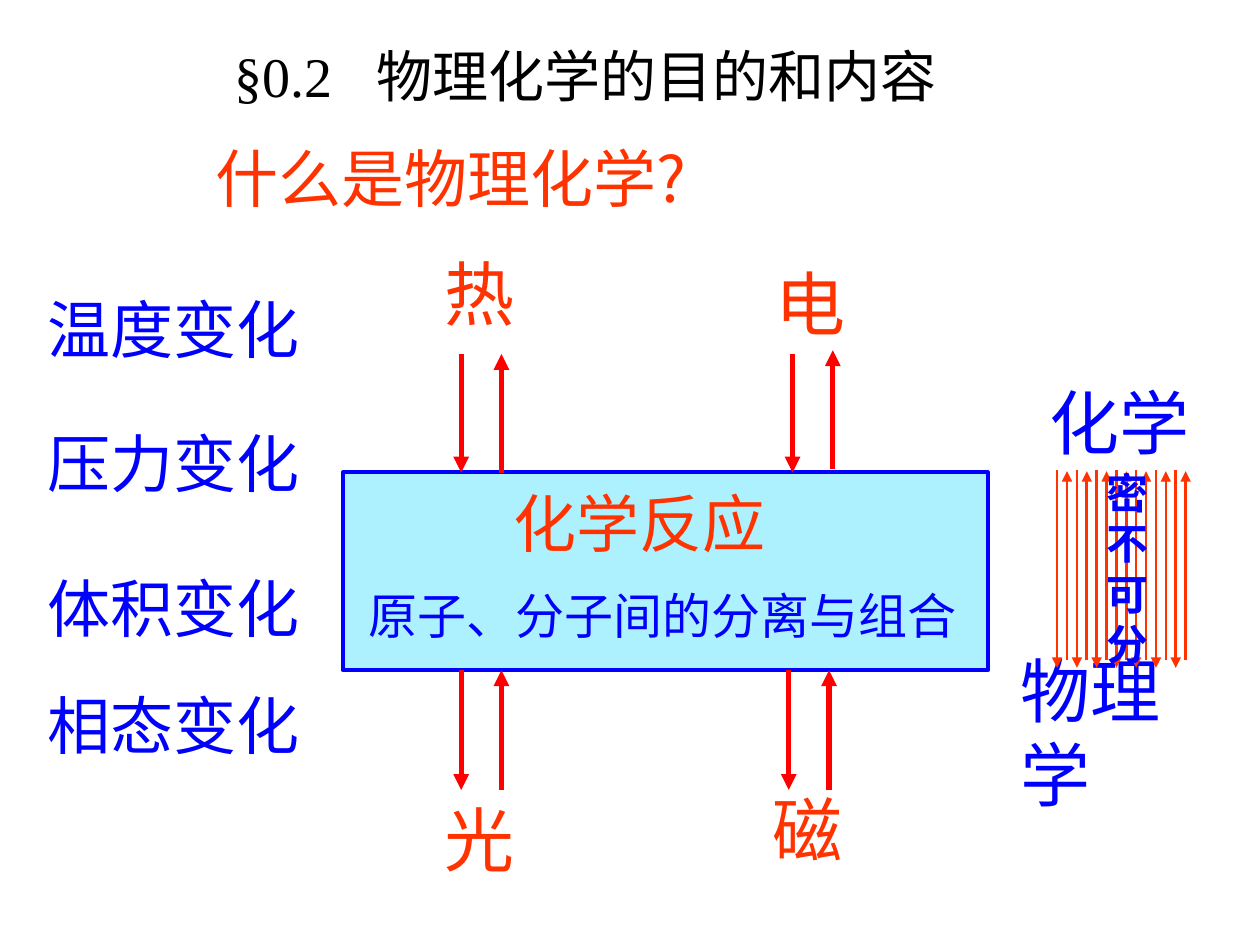
from lxml.etree import SubElement
from pptx import Presentation
from pptx.dml.color import RGBColor
from pptx.enum.shapes import MSO_CONNECTOR, MSO_SHAPE
from pptx.enum.text import MSO_ANCHOR, MSO_AUTO_SIZE
from pptx.oxml.ns import qn
from pptx.util import Inches, Pt

BLACK = RGBColor(0x00, 0x00, 0x00)
BLUE = RGBColor(0x00, 0x00, 0xFF)
ORANGE = RGBColor(0xFF, 0x33, 0x00)
RED = RGBColor(0xFF, 0x00, 0x00)
PALE_CYAN = RGBColor(0xAE, 0xF1, 0xFE)
CHINESE = "Noto Sans CJK SC"
LATIN = "Times New Roman"


def add_label(slide, box, runs, size, color, wrap=False, spacing=None,
              bold=False, tab=None):
    label = slide.shapes.add_textbox(*map(Inches, box))
    frame = label.text_frame
    frame.word_wrap = wrap
    frame.auto_size = MSO_AUTO_SIZE.SHAPE_TO_FIT_TEXT
    paragraph = frame.paragraphs[0]
    if spacing:
        paragraph.line_spacing = spacing
    if tab:
        stops = SubElement(paragraph._p.get_or_add_pPr(), qn("a:tabLst"))
        SubElement(stops, qn("a:tab"), pos=str(Inches(tab)), algn="l")
    for text, typeface in runs:
        run = paragraph.add_run()
        run.text = text
        run.font.size = Pt(size)
        run.font.bold = bold
        run.font.color.rgb = color
        run.font.name = typeface
        SubElement(run._r.get_or_add_rPr(), qn("a:ea"), typeface=typeface)
    return label


def add_arrow(slide, x, start, end, color, width):
    arrow = slide.shapes.add_connector(
        MSO_CONNECTOR.STRAIGHT, Inches(x), Inches(start), Inches(x), Inches(end))
    arrow.line.color.rgb = color
    arrow.line.width = Pt(width)
    SubElement(arrow.line._get_or_add_ln(), qn("a:tailEnd"), type="triangle")
    SubElement(arrow._element.spPr, qn("a:effectLst"))


def add_headings(slide, left, top):
    add_label(slide, (left + 0.15, top, 6.2, 0.64),
              [("§0.2\t", LATIN), ("物理化学的目的和内容", CHINESE)],
              32, BLACK, wrap=True, tab=1.13)
    question = add_label(slide, (left, top + 0.79, 5.59, 0.67),
                         [("什么是物理化学?", CHINESE)], 36, ORANGE, wrap=True)
    question.text_frame.auto_size = MSO_AUTO_SIZE.NONE
    question.text_frame.vertical_anchor = MSO_ANCHOR.MIDDLE


def add_reaction(slide, left, top, width, height):
    panel = slide.shapes.add_shape(
        MSO_SHAPE.RECTANGLE, *map(Inches, (left, top, width, height)))
    panel.shadow.inherit = False
    panel.fill.solid()
    panel.fill.fore_color.rgb = PALE_CYAN
    panel.line.color.rgb = BLUE
    panel.line.width = Pt(2.25)
    add_label(slide, (left + 1.26, top + 0.16, 2.2, 0.58),
              [("化学反应", CHINESE)], 36, ORANGE, spacing=0.8)
    add_label(slide, (left + 0.11, top + 0.94, 4.86, 0.48),
              [("原子、分子间的分离与组合", CHINESE)], 28, BLUE, spacing=0.8)

    bottom = top + height
    energies = [
        ("热", 0.94, top - 1.81, top - 0.94, top),
        ("电", 3.57, top - 1.73, top - 0.94, top),
        ("光", 0.94, bottom + 0.95, bottom, bottom + 0.95),
        ("磁", 3.54, bottom + 0.87, bottom, bottom + 0.95),
    ]
    for energy, offset, label_top, upper, lower in energies:
        x = left + offset
        lift = 0.03 if energy == "电" else 0
        add_arrow(slide, x, upper, lower, RED, 3)
        add_arrow(slide, x + 0.32, lower - lift, upper - lift, RED, 3)
        add_label(slide, (x - 0.23, label_top, 0.75, 0.77),
                  [(energy, CHINESE)], 40, ORANGE)


def add_changes(slide, left, top):
    changes = [("温度变化", 0), ("压力变化", 1.06),
               ("体积变化", 2.21), ("相态变化", 3.14)]
    for change, offset in changes:
        add_label(slide, (left, top + offset, 2.2, 0.7),
                  [(change, CHINESE)], 36, BLUE)


def add_sciences(slide, left, top):
    add_label(slide, (left + 0.23, top, 1.31, 0.77),
              [("化学", CHINESE)], 40, BLUE)
    add_label(slide, (left, top + 2.13, 1.86, 0.77),
              [("物理学", CHINESE)], 40, BLUE)
    arrow_count = 14
    pitch = 1.02 / (arrow_count - 1)
    for index in range(arrow_count):
        x = left + 0.39 + index * pitch
        ends = (0.77, 2.34) if index % 2 == 0 else (2.28, 0.78)
        add_arrow(slide, x, top + ends[0], top + ends[1], ORANGE, 1.5)
    add_label(slide, (left + 0.68, top + 0.7, 0.42, 1.7),
              [("密不可分", CHINESE)], 24, BLUE, wrap=True, bold=True)


def main():
    presentation = Presentation()
    presentation.slide_width = Inches(10)
    presentation.slide_height = Inches(7.5)
    slide = presentation.slides.add_slide(presentation.slide_layouts[6])
    add_headings(slide, 1.61, 0.28)
    add_reaction(slide, 2.72, 3.75, 5.12, 1.57)
    add_changes(slide, 0.28, 2.26)
    add_sciences(slide, 8, 2.96)
    presentation.save("out.pptx")


if __name__ == "__main__":
    main()
